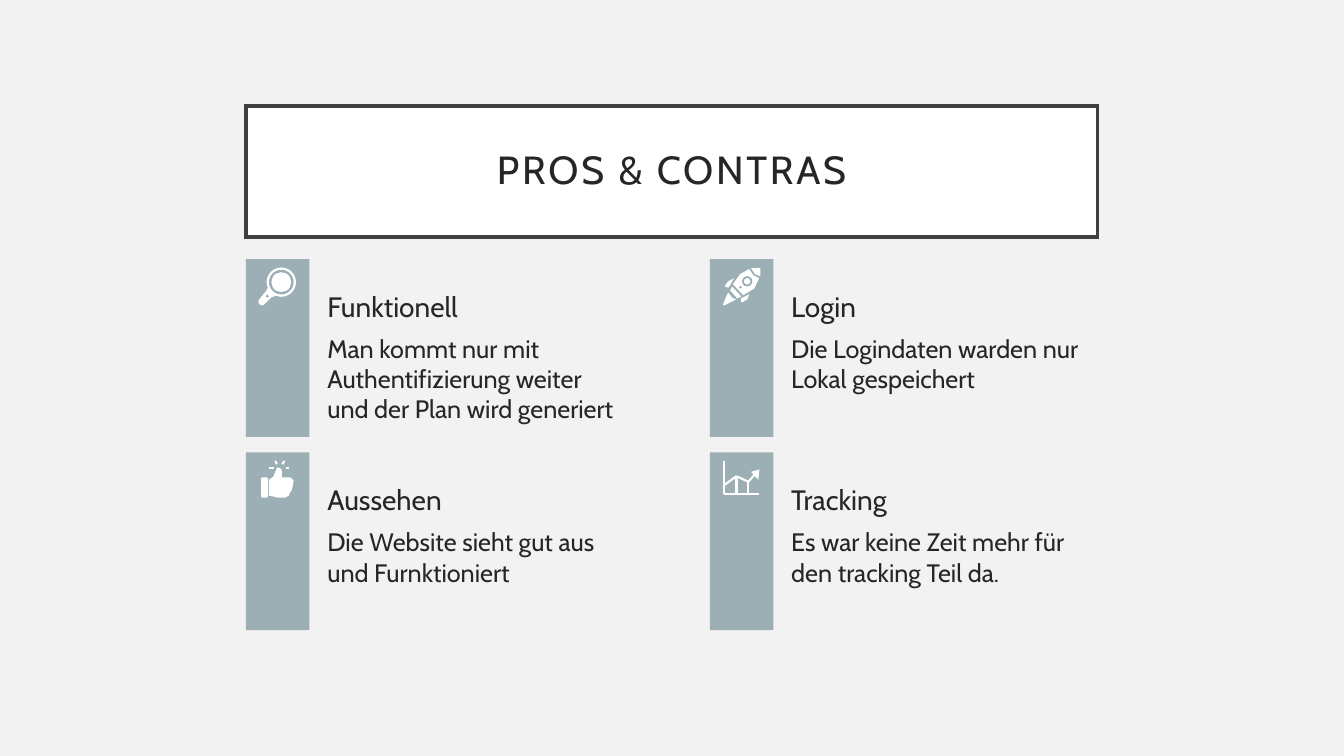
import pptx
import pptx.dml.color
import pptx.enum.shapes
import pptx.enum.text
import pptx.oxml
import pptx.oxml.ns
import pptx.util

Cm, Pt = pptx.util.Cm, pptx.util.Pt
SHAPE = pptx.enum.shapes.MSO_SHAPE
ANCHOR = pptx.enum.text.MSO_ANCHOR
FONT, INK, BAR, WHITE = "Cabin", "262626", "9BAFB5", "FFFFFF"

# Icon parts on a 100 x 100 grid: polygons and lines hold points,
# ovals hold centre x, centre y and radius
ICONS = {
    "magnifier": [
        ("poly", WHITE, [(26, 51), (20, 61), (3, 82), (1, 88), (4, 94), (11, 97),
                         (16, 94), (34, 76), (41, 74), (46, 71)]),
        ("poly", BAR, [(23, 69), (28, 74), (23, 77), (20, 74)]),
        ("oval", WHITE, (59, 38, 37)),
        ("oval", BAR, (59, 38, 31)),
        ("oval", WHITE, (59, 38, 25)),
    ],
    "rocket": [
        ("poly", WHITE, [(69, 5), (46, 18), (28, 43), (54, 71), (82, 54), (94, 28), (80, 21)]),
        ("oval", BAR, (64, 36, 13)),
        ("oval", WHITE, (64, 36, 8)),
        ("oval", BAR, (47, 51, 3)),
        ("poly", WHITE, [(74, 3), (97, 2), (97, 23), (84, 18)]),
        ("poly", WHITE, [(26, 49), (21, 59), (39, 79), (49, 74)]),
        ("poly", WHITE, [(69, 69), (49, 79), (49, 88), (51, 89), (64, 82)]),
        ("poly", WHITE, [(31, 28), (16, 36), (8, 47), (11, 51), (18, 51)]),
        ("poly", WHITE, [(16, 64), (3, 94), (6, 97), (36, 82), (26, 77)]),
    ],
    "thumb": [
        ("poly", WHITE, [(10, 43), (23, 43), (25, 46), (25, 91), (23, 94), (10, 94),
                         (8, 91), (8, 46)]),
        ("poly", WHITE, [(49, 18), (46, 23), (39, 41), (28, 49), (28, 89), (51, 94), (69, 94),
                         (79, 88), (80, 82), (85, 76), (88, 64), (90, 51), (82, 43),
                         (60, 43), (61, 28), (58, 21), (51, 18)]),
        ("poly", WHITE, [(28, 16), (41, 16), (41, 22), (28, 22)]),
        ("poly", WHITE, [(70, 16), (79, 16), (79, 22), (70, 22)]),
        ("poly", WHITE, [(42, 1), (46, 0), (50, 9), (45, 11)]),
        ("poly", WHITE, [(65, 0), (69, 3), (64, 11), (59, 9)]),
    ],
    "chart": [
        ("line", WHITE, [(5, 2), (5, 85), (94, 85)]),
        ("line", WHITE, [(5, 63), (37, 40), (67, 54), (86, 32)]),
        ("line", WHITE, [(37, 40), (37, 85)]),
        ("line", WHITE, [(67, 54), (67, 85)]),
        ("poly", WHITE, [(74, 29), (95, 23), (92, 49)]),
    ],
}

CARDS = [
    ("magnifier", "Funktionell",
     "Man kommt nur mit Authentifizierung weiter und der Plan wird generiert"),
    ("rocket", "Login", "Die Logindaten warden nur Lokal gespeichert"),
    ("thumb", "Aussehen", "Die Website sieht gut aus und Furnktioniert"),
    ("chart", "Tracking", "Es war keine Zeit mehr für den tracking Teil da."),
]


def rgb(color):
    return pptx.dml.color.RGBColor.from_string(color)


def paint(sp, color):
    sp.shadow.inherit = False
    sp.fill.solid()
    sp.fill.fore_color.rgb = rgb(color)
    sp.line.fill.background()


def add_run(p, text, size):
    r = p.add_run()
    r.text = text
    r.font.name = FONT
    r.font.size = Pt(size)
    r.font.color.rgb = rgb(INK)
    return r


def set_frame(tf, inset, anchor):
    tf.word_wrap = True
    tf.auto_size = pptx.enum.text.MSO_AUTO_SIZE.NONE
    tf.vertical_anchor = anchor
    tf.margin_left = tf.margin_right = tf.margin_top = tf.margin_bottom = Cm(inset)


def add_text(s, x, y, w, h, text, size, anchor):
    tf = s.shapes.add_textbox(Cm(x), Cm(y), Cm(w), Cm(h)).text_frame
    set_frame(tf, 0.25, anchor)
    add_run(tf.paragraphs[0], text, size)


def add_title(s, x, y, w, h):
    sp = s.shapes.title
    sp.left, sp.top, sp.width, sp.height = Cm(x), Cm(y), Cm(w), Cm(h)
    sp.fill.solid()
    sp.fill.fore_color.rgb = rgb(WHITE)
    sp.line.color.rgb = rgb("404040")
    sp.line.width = Pt(2.5)
    # Square corners on the frame
    ln = sp.element.spPr.find(pptx.oxml.ns.qn("a:ln"))
    ln.append(pptx.oxml.parse_xml(
        f'<a:miter {pptx.oxml.ns.nsdecls("a")} lim="800000"/>'))
    set_frame(sp.text_frame, 0.51, ANCHOR.MIDDLE)
    p = sp.text_frame.paragraphs[0]
    p.alignment = pptx.enum.text.PP_ALIGN.CENTER
    p.line_spacing = 0.9
    r = add_run(p, "PROS & CONTRAS", 28)
    r.font._element.set("spc", "200")


def add_icon(s, name, x, y, size):
    def place(px, py):
        return Cm(x + px * size / 100), Cm(y + py * size / 100)

    for kind, color, data in ICONS[name]:
        if kind == "line":
            for start, end in zip(data, data[1:]):
                ln = s.shapes.add_connector(
                    pptx.enum.shapes.MSO_CONNECTOR.STRAIGHT, *place(*start), *place(*end))
                ln.line.color.rgb = rgb(color)
                ln.line.width = Pt(1.5)
                ln.element.spPr.append(pptx.oxml.parse_xml(
                    f'<a:effectLst {pptx.oxml.ns.nsdecls("a")}/>'))
            continue
        if kind == "oval":
            cx, cy, radius = data
            d = Cm(2 * radius * size / 100)
            sp = s.shapes.add_shape(SHAPE.OVAL, *place(cx - radius, cy - radius), d, d)
        else:
            points = [place(*point) for point in data]
            outline = s.shapes.build_freeform(*points[0])
            outline.add_line_segments(points[1:], close=True)
            sp = outline.convert_to_shape()
        paint(sp, color)


def add_card(s, x, y, w, h, icon, heading, text):
    # Coloured bar with its icon
    bar = s.shapes.add_shape(SHAPE.RECTANGLE, Cm(x), Cm(y), Cm(1.6), Cm(h))
    paint(bar, BAR)
    add_icon(s, icon, x + 0.3, y + 0.2, 1)
    # Heading above its description
    add_text(s, x + 1.8, y, w - 1.8, 1.85, heading, 20, ANCHOR.BOTTOM)
    add_text(s, x + 1.8, y + 1.62, w - 1.8, h - 1.62, text, 18, ANCHOR.TOP)


def main():
    prs = pptx.Presentation()
    prs.slide_width, prs.slide_height = Cm(33.87), Cm(19.05)
    s = prs.slides.add_slide(prs.slide_layouts[5])
    s.background.fill.solid()
    s.background.fill.fore_color.rgb = rgb("F2F2F2")
    add_title(s, 6.2, 2.67, 21.46, 3.3)
    # Two by two grid of cards
    for i, card in enumerate(CARDS):
        row, col = divmod(i, 2)
        add_card(s, 6.2 + col * 11.69, 6.53 + row * 4.87, 9.72, 4.48, *card)
    prs.save("out.pptx")


if __name__ == "__main__":
    main()
